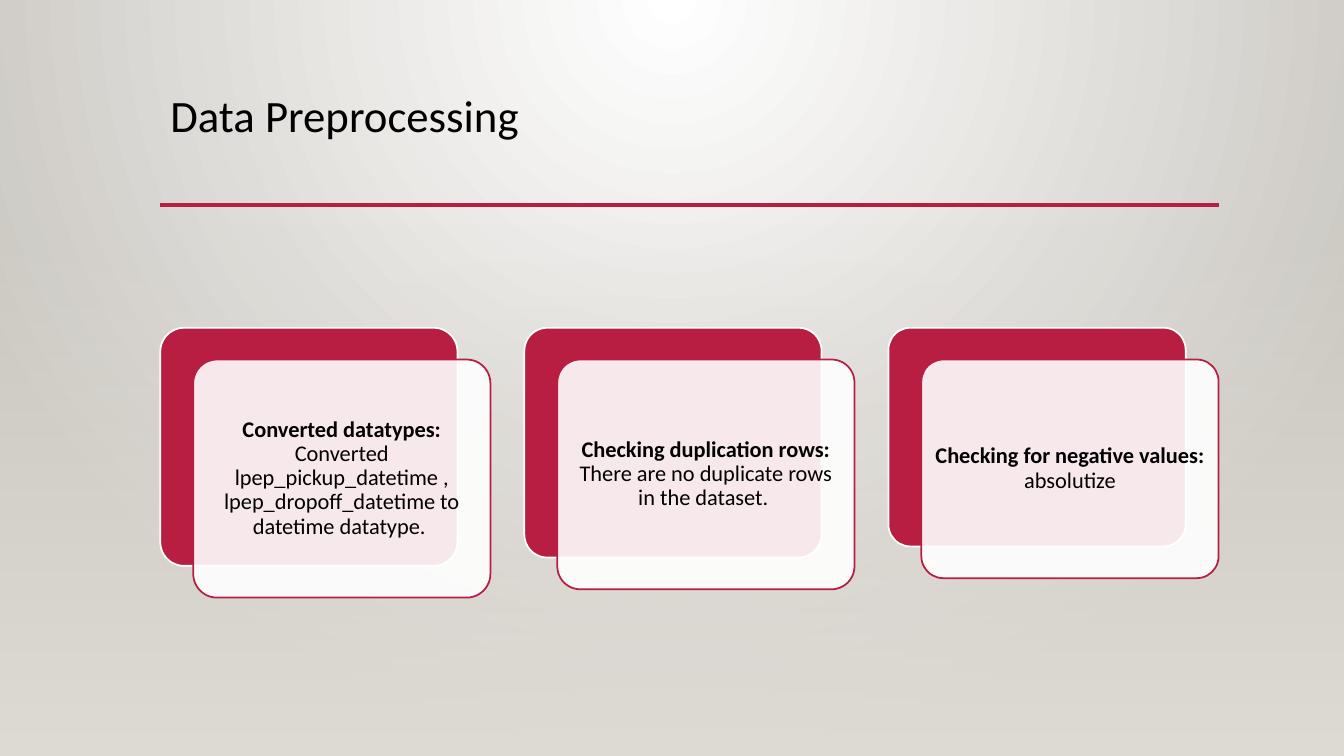
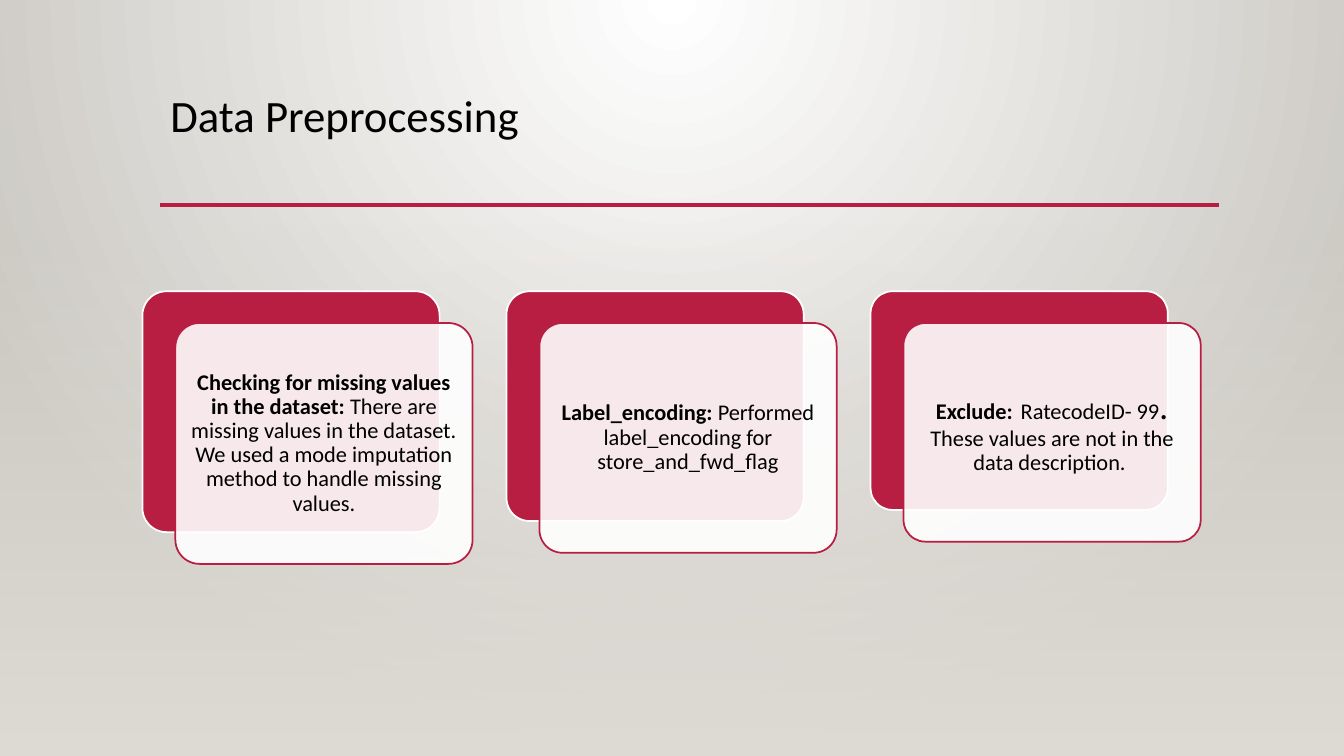
from lxml import etree
from pptx import Presentation
from pptx.dml.color import RGBColor
from pptx.enum.shapes import MSO_CONNECTOR, MSO_SHAPE
from pptx.enum.text import MSO_ANCHOR, MSO_AUTO_SIZE, PP_ALIGN
from pptx.oxml import parse_xml
from pptx.oxml.ns import nsdecls, qn
from pptx.util import Cm, Pt

RECTANGLE = MSO_SHAPE.RECTANGLE
ROUNDED = MSO_SHAPE.ROUNDED_RECTANGLE
STRAIGHT = MSO_CONNECTOR.STRAIGHT
TOP, MIDDLE = MSO_ANCHOR.TOP, MSO_ANCHOR.MIDDLE
LEFT, CENTER = PP_ALIGN.LEFT, PP_ALIGN.CENTER
NO_AUTOFIT = MSO_AUTO_SIZE.NONE

FONT = "Calibri"
RED, WHITE, BLACK = "B71E42", "FFFFFF", "000000"
STONE, SAND = "CAC7C1", "DFDBD5"

SLIDE_WIDTH, SLIDE_HEIGHT = 33.87, 19.05
TITLE_BOX = (4.04, 2.24, 26.67, 2.92)
BAND_TOP = 5.61
CARD_WIDTH = 7.49
CARD_SHIFT = (0.83, 0.8)
CARD_INSET = 0.17

TITLE_FRAME = {"word_wrap": True, "auto_size": NO_AUTOFIT, "vertical_anchor": TOP}
CARD_FRAME = {"word_wrap": True, "auto_size": NO_AUTOFIT, "vertical_anchor": MIDDLE}
CARD_FRAME |= {f"margin_{side}": Cm(CARD_INSET) for side in ("left", "top", "right", "bottom")}

GLOW_PATH = '<a:path path="circle"><a:fillToRect l="43000" t="0" r="43000" b="100000"/></a:path>'
DOWNWARD = '<a:lin ang="5400000" scaled="0"/>'

SLIDES = [
    {
        "title": "Data Preprocessing",
        "cards_box": (4.04, 8.26, 26.67),
        "cards": [
            (6.0, [("Converted datatypes: ", 16, True),
                   ("Converted lpep_pickup_datetime , lpep_dropoff_datetime to datetime datatype. ", 16, False)]),
            (5.79, [("Checking duplication rows: ", 16, True),
                    ("There are no duplicate rows in the dataset. ", 16, False)]),
            (5.51, [("Checking for negative values: ", 16, True),
                    ("absolutize", 16, False)]),
        ],
    },
    {
        "title": "Data Preprocessing",
        "cards_box": (3.59, 7.34, 26.67),
        "cards": [
            (6.07, [("Checking for missing values in the dataset: ", 16, True),
                    ("There are missing values in the dataset. We used a mode imputation "
                     "method to handle missing values.", 16, False)]),
            (5.79, [("Label_encoding: ", 16, True),
                    ("Performed label_encoding for store_and_fwd_flag", 16, False)]),
            (5.51, [("Exclude:", 16, True), (" ", 25, True), ("RatecodeID- 99", 16, False),
                    (". ", 25, False),
                    ("These values are not in the data description. ", 16, False)]),
        ],
    },
]


def color(value):
    return RGBColor.from_string(value)


def apply(target, values):
    for name, value in values.items():
        setattr(target, name, value)


def set_gradient(owner, fill, stops, direction):
    fill.gradient()
    gradient = owner.element.find(f".//{qn('a:gradFill')}")
    stop_list = "".join(
        f'<a:gs pos="{position * 1000}"><a:srgbClr val="{value}">'
        f'<a:alpha val="{alpha * 1000}"/></a:srgbClr></a:gs>'
        for position, value, alpha in stops)
    replacement = parse_xml(
        f'<a:gradFill {nsdecls("a")} rotWithShape="1"><a:gsLst>{stop_list}</a:gsLst>'
        f'{direction}</a:gradFill>')
    gradient.getparent().replace(gradient, replacement)


def set_opacity(shape, percent):
    fill_color = shape.element.spPr.find(f"{qn('a:solidFill')}/{qn('a:srgbClr')}")
    etree.SubElement(fill_color, qn("a:alpha"), val=str(percent * 1000))


def add_text(paragraph, runs, alignment):
    apply(paragraph, {"alignment": alignment, "line_spacing": 0.9})
    for text, size, bold in runs:
        run = paragraph.add_run()
        run.text = text
        apply(run.font, {"name": FONT, "size": Pt(size), "bold": bold})
        run.font.color.rgb = color(BLACK)


def add_title(slide, text, box):
    title = slide.shapes.title
    left, top, width, height = box
    apply(title, {"left": Cm(left), "top": Cm(top), "width": Cm(width), "height": Cm(height)})
    apply(title.text_frame, TITLE_FRAME)
    add_text(title.text_frame.paragraphs[0], [(text, 32, False)], LEFT)
    bottom = top + height
    rule = slide.shapes.add_connector(STRAIGHT, Cm(left), Cm(bottom), Cm(left + width), Cm(bottom))
    rule.line.color.rgb = color(RED)
    rule.line.width = Pt(2.5)
    etree.SubElement(rule.element.spPr, qn("a:effectLst"))


def add_band(slide, top):
    band = slide.shapes.add_shape(
        RECTANGLE, 0, Cm(top), Cm(SLIDE_WIDTH), Cm(SLIDE_HEIGHT - top))
    band.shadow.inherit = False
    band.line.fill.background()
    set_gradient(band, band.fill, [(0, SAND, 0), (100, SAND, 100)], DOWNWARD)


def add_panel(slide, left, top, height, fill, outline):
    panel = slide.shapes.add_shape(ROUNDED, Cm(left), Cm(top), Cm(CARD_WIDTH), Cm(height))
    panel.adjustments[0] = 0.1
    panel.shadow.inherit = False
    panel.fill.solid()
    panel.fill.fore_color.rgb = color(fill)
    panel.line.color.rgb = color(outline)
    panel.line.width = Pt(1.25)
    return panel


def add_card(slide, left, top, height, runs):
    shift_x, shift_y = CARD_SHIFT
    add_panel(slide, left, top, height, RED, WHITE)
    front = add_panel(slide, left + shift_x, top + shift_y, height, WHITE, RED)
    set_opacity(front, 90)
    apply(front.text_frame, CARD_FRAME)
    add_text(front.text_frame.paragraphs[0], runs, CENTER)


def add_cards(slide, cards, box):
    left, top, width = box
    step = (width - CARD_WIDTH - CARD_SHIFT[0]) / (len(cards) - 1)
    for index, (height, runs) in enumerate(cards):
        add_card(slide, left + index * step, top, height, runs)


def add_cards_slide(presentation, content):
    slide = presentation.slides.add_slide(presentation.slide_layouts.get_by_name("Title Only"))
    add_band(slide, BAND_TOP)
    add_title(slide, content["title"], TITLE_BOX)
    add_cards(slide, content["cards"], content["cards_box"])


def main():
    presentation = Presentation()
    apply(presentation, {"slide_width": Cm(SLIDE_WIDTH), "slide_height": Cm(SLIDE_HEIGHT)})
    master = presentation.slide_master
    set_gradient(master, master.background.fill,
                 [(0, WHITE, 100), (100, STONE, 100)], GLOW_PATH)
    for content in SLIDES:
        add_cards_slide(presentation, content)
    presentation.save("out.pptx")


if __name__ == "__main__":
    main()
